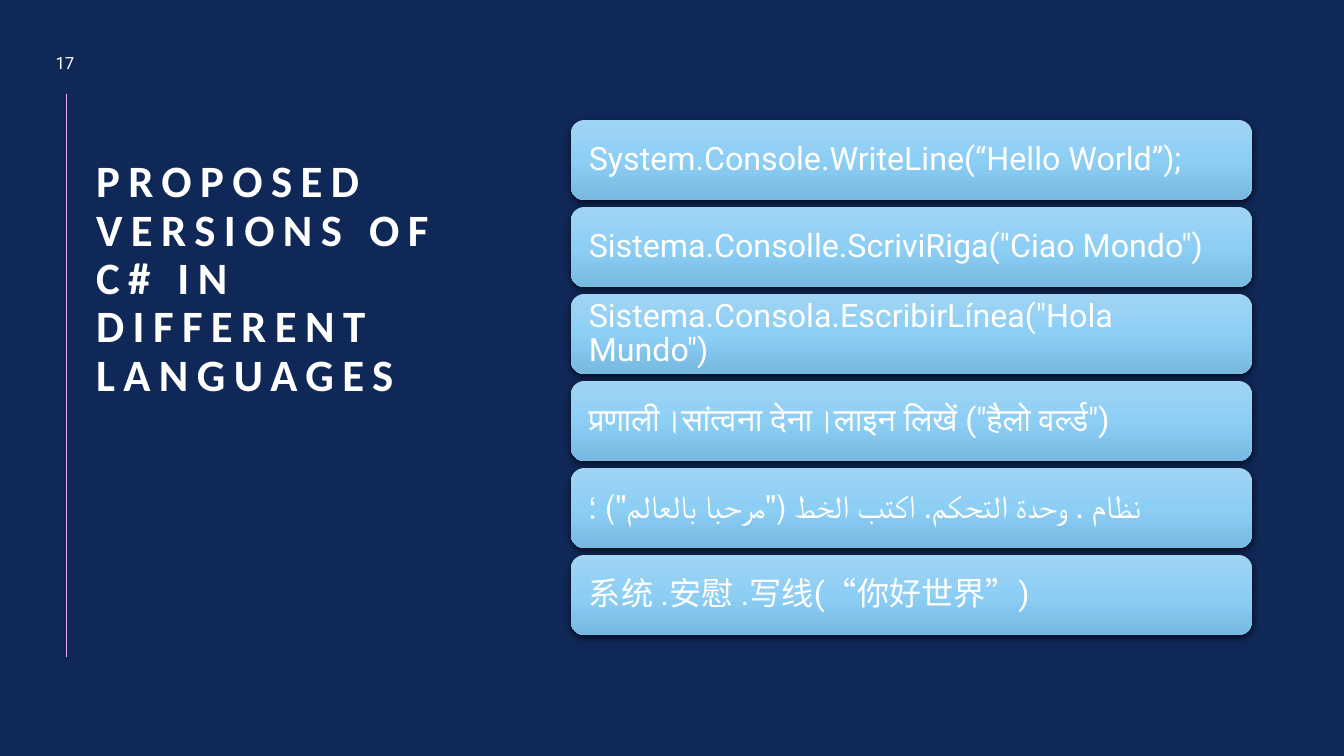
from pptx import Presentation
from pptx.dml.color import RGBColor
from pptx.enum.shapes import MSO_CONNECTOR, MSO_SHAPE
from pptx.enum.text import MSO_ANCHOR, MSO_AUTO_SIZE, PP_ALIGN
from pptx.oxml import parse_xml
from pptx.oxml.ns import nsdecls
from pptx.util import Pt

NAVY = RGBColor(0x10, 0x28, 0x57)
WHITE = RGBColor(0xFF, 0xFF, 0xFF)
BLACK = RGBColor(0x00, 0x00, 0x00)
PINK = RGBColor(0xF6, 0xA6, 0xF4)
SKY_STOPS = [(0, RGBColor(0xA0, 0xD4, 0xF3)),
             (50, RGBColor(0x8D, 0xCE, 0xF5)),
             (100, RGBColor(0x77, 0xB9, 0xE0))]


def px(pixels):
    return round(pixels * 914400 / 100.8)


def style_text(frame, font_name, size, line_spacing=1.0, align=PP_ALIGN.LEFT):
    frame.word_wrap = True
    frame.auto_size = MSO_AUTO_SIZE.NONE
    paragraph = frame.paragraphs[0]
    paragraph.alignment = align
    paragraph.line_spacing = line_spacing
    font = paragraph.runs[0].font
    font.name = font_name
    font.size = Pt(size)
    font.color.rgb = WHITE
    return font


prs = Presentation()
prs.slide_width, prs.slide_height = px(1344), px(756)
slide = prs.slides.add_slide(prs.slide_layouts[5])
slide.background.fill.solid()
slide.background.fill.fore_color.rgb = NAVY

# Vertical rule
rule = slide.shapes.add_connector(MSO_CONNECTOR.STRAIGHT, px(66), px(94), px(66), px(657))
rule.line.color.rgb = PINK
rule.line.width = Pt(0.5)
rule._element.spPr.append(parse_xml(f"<a:effectLst {nsdecls('a')}/>"))

# Title
title = slide.shapes.title
title.left, title.top, title.width, title.height = px(86), px(9), px(433), px(397)
title.text_frame.text = "PROPOSED VERSIONS OF C# IN DIFFERENT LANGUAGES"
title.text_frame.vertical_anchor = MSO_ANCHOR.BOTTOM
title_font = style_text(title.text_frame, "Calibri", 32, line_spacing=0.9)
title_font.bold = True
title_font._element.set("spc", "600")

# Page number
page_number = slide.shapes.add_textbox(px(36), px(45), px(58), px(35))
page_number.text_frame.text = "17"
page_number.text_frame.vertical_anchor = MSO_ANCHOR.MIDDLE
style_text(page_number.text_frame, "Roboto", 12, align=PP_ALIGN.CENTER)

# One bar per language
statements = [
    "System.Console.WriteLine(“Hello World”);",
    'Sistema.Consolle.ScriviRiga("Ciao Mondo")',
    'Sistema.Consola.EscribirLínea("Hola Mundo")',
    'प्रणाली।सांत्वना देना।लाइन लिखें ("हैलो वर्ल्ड")',
    'نظام . وحدة التحكم. اكتب الخط ("مرحبا بالعالم") ؛',
    "系统 .安慰 .写线(“你好世界”)",
]
BAR_TOP, BAR_PITCH = 120, 87
gradient_stops = "".join(
    f'<a:gs pos="{position * 1000}"><a:srgbClr val="{color}"/></a:gs>'
    for position, color in SKY_STOPS)

for row, statement in enumerate(statements):
    bar = slide.shapes.add_shape(MSO_SHAPE.ROUNDED_RECTANGLE, px(571),
                                 px(BAR_TOP + row * BAR_PITCH), px(681), px(80))
    bar.line.fill.background()

    # Three-stop gradient, then a soft shadow below
    properties = bar._element.spPr
    properties.prstGeom.addnext(parse_xml(
        f"<a:gradFill {nsdecls('a')}><a:gsLst>{gradient_stops}</a:gsLst>"
        '<a:lin ang="5400000" scaled="0"/></a:gradFill>'))
    properties.append(parse_xml(
        f"<a:effectLst {nsdecls('a')}>"
        f'<a:outerShdw blurRad="{Pt(4.5)}" dist="{Pt(1.5)}" dir="5400000" rotWithShape="0">'
        f'<a:srgbClr val="{BLACK}"><a:alpha val="63000"/></a:srgbClr>'
        "</a:outerShdw></a:effectLst>"))

    frame = bar.text_frame
    frame.text = statement
    frame.margin_left = frame.margin_right = px(14)
    frame.vertical_anchor = MSO_ANCHOR.MIDDLE
    style_text(frame, "Roboto", 23, line_spacing=0.9)

prs.save("out.pptx")
